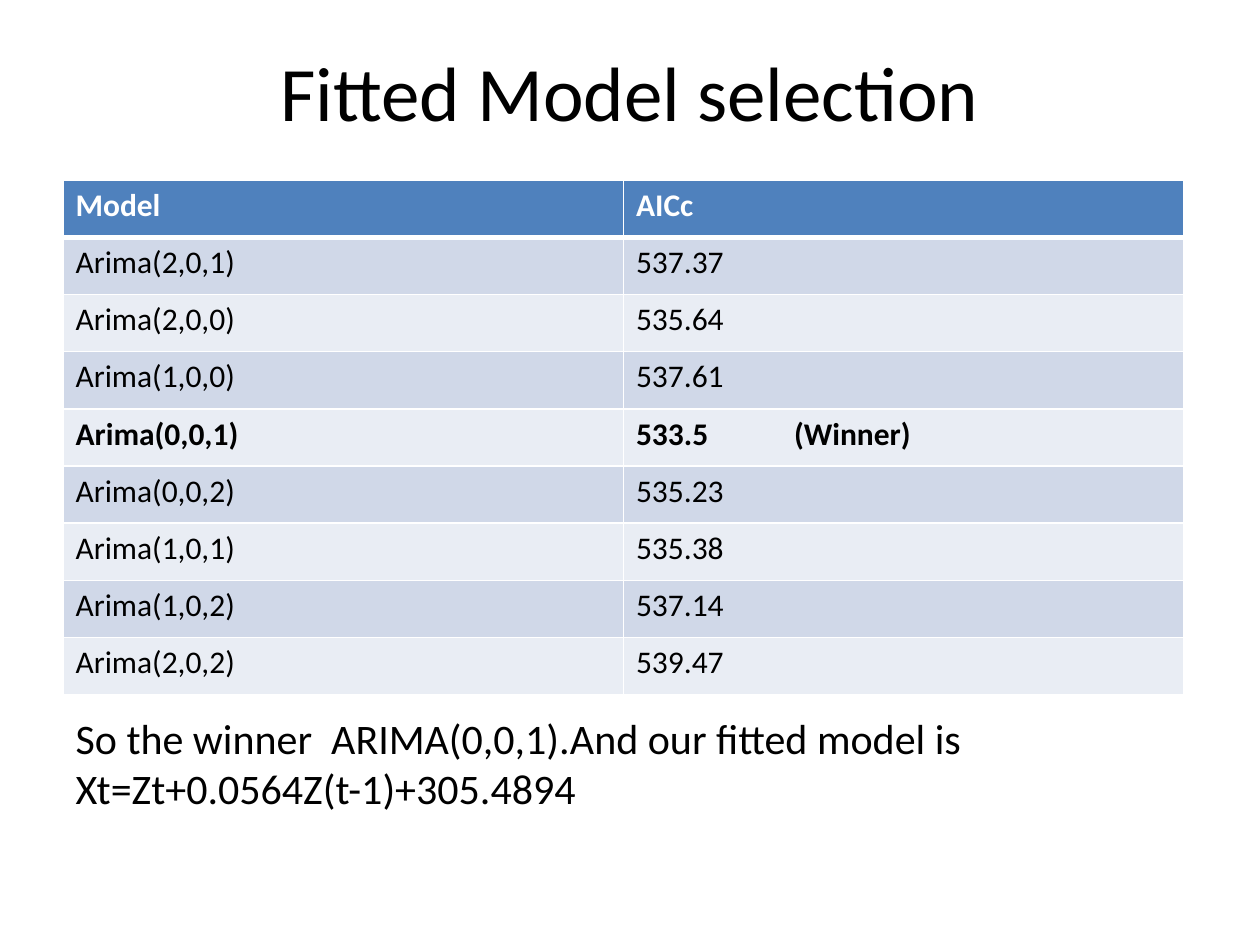
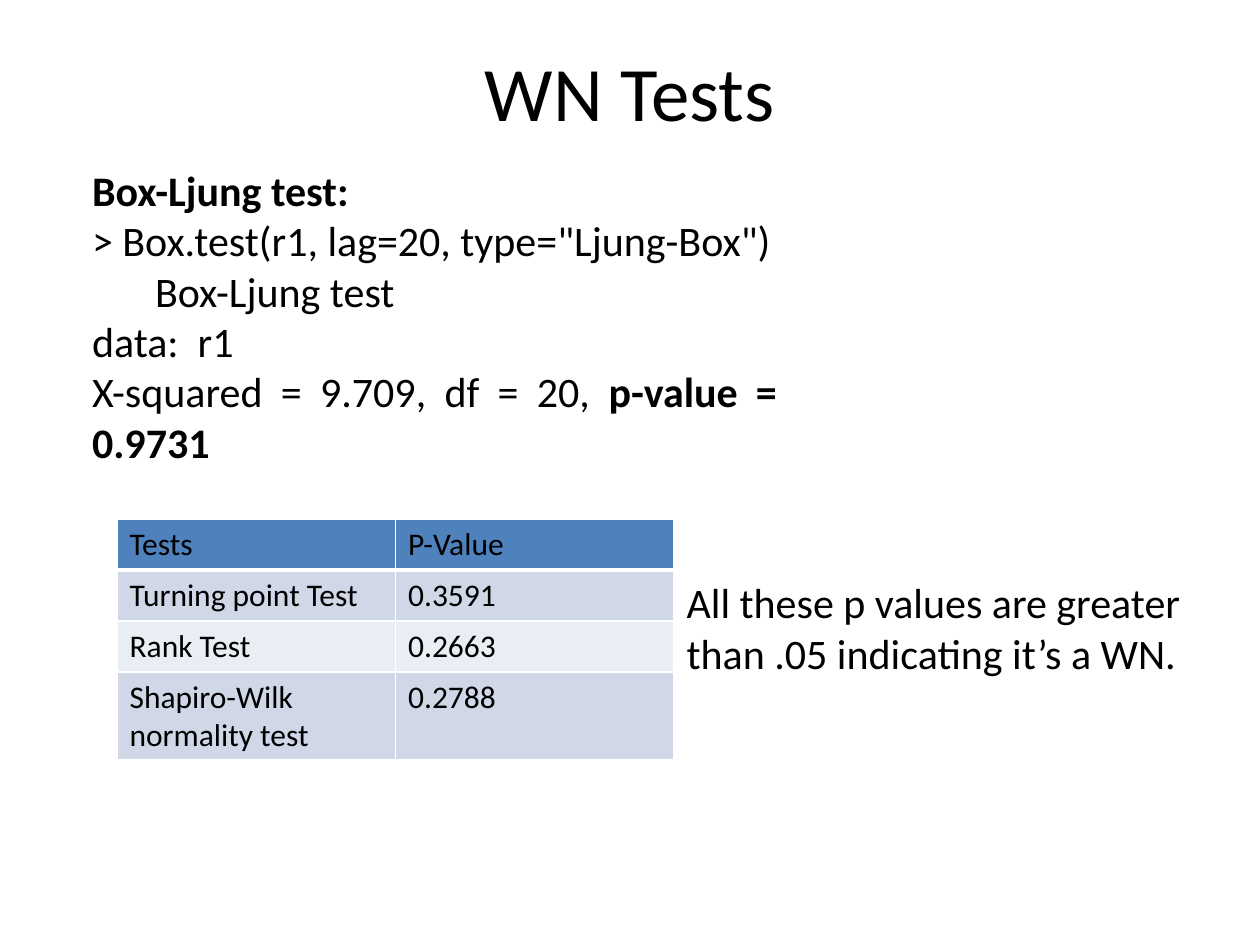
from lxml.etree import SubElement
from pptx import Presentation
from pptx.dml.color import RGBColor
from pptx.enum.text import MSO_ANCHOR, MSO_AUTO_SIZE, PP_ALIGN
from pptx.oxml.ns import qn
from pptx.util import Inches, Pt

PIXEL = 7257
BLACK, WHITE = "000000", "FFFFFF"
HEADER, BANDS = "4F81BD", ("E9EDF4", "D0D8E8")
FONT = "Calibri"
TITLE_SIZE, BODY_SIZE, TABLE_SIZE = 44, 24, 18
WINNER_TAB = 158


def paint(fill, color):
    fill.solid()
    fill.fore_color.rgb = RGBColor.from_string(color)


def write(paragraph, runs, size, color=BLACK, align=PP_ALIGN.LEFT):
    paragraph.alignment = align
    for text, bold in runs:
        run = paragraph.add_run()
        run.text = text
        formats = {"name": FONT, "size": Pt(size), "bold": bold}
        for name, value in formats.items():
            setattr(run.font, name, value)
        paint(run.font.fill, color)


conclusion = {
    "box": (63, 706, 925, 166),
    "frame": {"vertical_anchor": MSO_ANCHOR.TOP, "auto_size": MSO_AUTO_SIZE.NONE},
    "align": PP_ALIGN.LEFT,
    "paragraphs": [[("So the winner  ARIMA(0,0,1).And our fitted model is "
                     "Xt=Zt+0.0564Z(t-1)+305.4894", False)]],
}
remark = {
    "box": (674, 554, 557, 130),
    "frame": {"vertical_anchor": MSO_ANCHOR.BOTTOM, "auto_size": MSO_AUTO_SIZE.NONE},
    "align": PP_ALIGN.LEFT,
    "paragraphs": [[("All these p values are greater than .05 "
                     "indicating it’s a WN.", False)]],
}
box_test = {
    "box": (92, 163, 685, 305),
    "frame": {"vertical_anchor": MSO_ANCHOR.MIDDLE,
              "auto_size": MSO_AUTO_SIZE.SHAPE_TO_FIT_TEXT,
              "margin_left": 0, "margin_top": 0, "margin_right": 0, "margin_bottom": 0},
    "align": PP_ALIGN.JUSTIFY,
    "space_before": 0,
    "fill": WHITE,
    "paragraphs": [
        [("Box-Ljung test:", True)],
        [('> Box.test(r1, lag=20, type="Ljung-Box")', False)],
        [("\tBox-Ljung test", False)],
        [("data:  r1", False)],
        [("X-squared = 9.709, df = 20, ", False), ("p-value = 0.9731", True)],
    ],
}
model_table = {
    "box": (63, 180, 1121, 515),
    "header_color": WHITE,
    "header_bold": True,
    "bold_row": 4,
    "rows": [
        ("Model", "AICc"),
        ("Arima(2,0,1)", "537.37"),
        ("Arima(2,0,0)", "535.64"),
        ("Arima(1,0,0)", "537.61"),
        ("Arima(0,0,1)", "533.5\t(Winner)"),
        ("Arima(0,0,2)", "535.23"),
        ("Arima(1,0,1)", "535.38"),
        ("Arima(1,0,2)", "537.14"),
        ("Arima(2,0,2)", "539.47"),
    ],
}
test_table = {
    "box": (117, 519, 557, 204),
    "header_color": BLACK,
    "header_bold": False,
    "bold_row": None,
    "rows": [
        ("Tests", "P-Value"),
        ("Turning point Test", "0.3591"),
        ("Rank Test", "0.2663"),
        ("Shapiro-Wilk normality test", "0.2788"),
    ],
    "last_height": 88,
}
pages = [
    ("Fitted Model selection", 1, 131, [conclusion], model_table),
    ("WN Tests", 3, 89, [remark, box_test], test_table),
]

presentation = Presentation()
presentation.slide_width, presentation.slide_height = Inches(10), Inches(7.5)

for title_text, layout, title_height, bodies, grid in pages:
    slide = presentation.slides.add_slide(presentation.slide_layouts[layout])
    title, *placeholders = slide.placeholders
    title_format = {"box": (63, 38, 1134, title_height),
                    "frame": {"vertical_anchor": MSO_ANCHOR.TOP,
                              "auto_size": MSO_AUTO_SIZE.NONE},
                    "align": PP_ALIGN.CENTER,
                    "paragraphs": [[(title_text, False)]]}

    for shape, content in zip([title, *placeholders], [title_format, *bodies]):
        for name, value in zip(("left", "top", "width", "height"), content["box"]):
            setattr(shape, name, value * PIXEL)
        frame = shape.text_frame
        for name, value in content["frame"].items():
            setattr(frame, name, value)
        if "fill" in content:
            paint(shape.fill, content["fill"])
        for index, runs in enumerate(content["paragraphs"]):
            paragraph = frame.add_paragraph() if index else frame.paragraphs[0]
            size = TITLE_SIZE if shape is title else BODY_SIZE
            write(paragraph, runs, size, align=content["align"])
            if "space_before" in content:
                paragraph.space_before = Pt(content["space_before"])
            if shape is not title:
                properties = paragraph._p.get_or_add_pPr()
                properties.set("marL", "0")
                properties.set("indent", "0")
                SubElement(properties, qn("a:buNone"))

    rows = grid["rows"]
    box = [value * PIXEL for value in grid["box"]]
    table = slide.shapes.add_table(len(rows), 2, *box).table
    if "last_height" in grid:
        table.rows[len(rows) - 1].height = grid["last_height"] * PIXEL
    for row, texts in enumerate(rows):
        for column, text in enumerate(texts):
            cell = table.cell(row, column)
            properties = cell._tc.get_or_add_tcPr()
            for side in "LRTB":
                thick = (row, side) in ((0, "B"), (1, "T"))
                line = SubElement(properties, qn(f"a:ln{side}"), w=str(Pt(3 if thick else 1)))
                solid = SubElement(line, qn("a:solidFill"))
                SubElement(solid, qn("a:srgbClr"), val=WHITE)
            paint(cell.fill, BANDS[row % 2] if row else HEADER)
            bold = row == grid["bold_row"] if row else grid["header_bold"]
            color = BLACK if row else grid["header_color"]
            paragraph = cell.text_frame.paragraphs[0]
            write(paragraph, [(text, bold)], TABLE_SIZE, color)
            if "\t" in text:
                tabs = SubElement(paragraph._p.get_or_add_pPr(), qn("a:tabLst"))
                SubElement(tabs, qn("a:tab"), pos=str(WINNER_TAB * PIXEL), algn="l")

presentation.save("out.pptx")
